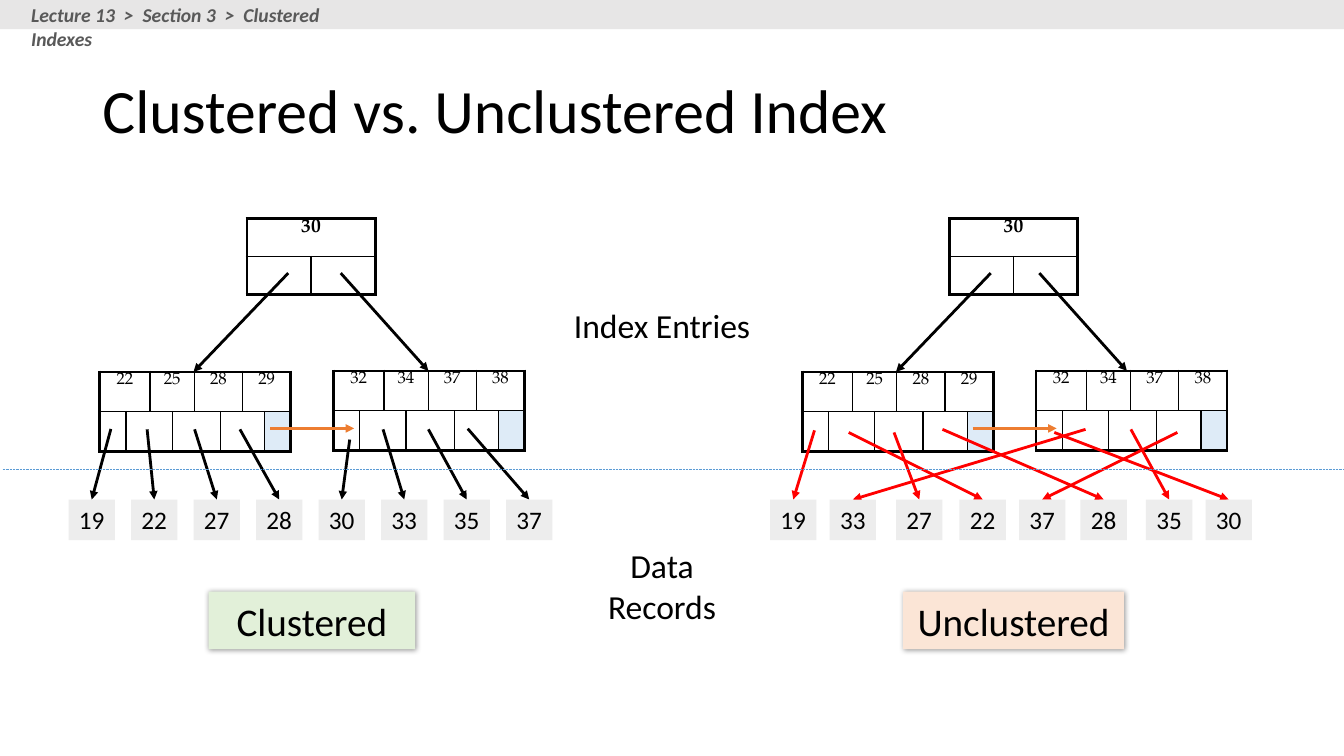
from lxml import etree
from pptx import Presentation
from pptx.dml.color import RGBColor
from pptx.enum.dml import MSO_LINE
from pptx.enum.shapes import MSO_CONNECTOR, MSO_SHAPE
from pptx.enum.text import MSO_ANCHOR, PP_ALIGN
from pptx.oxml.ns import qn
from pptx.util import Pt

RECT, STRAIGHT = MSO_SHAPE.RECTANGLE, MSO_CONNECTOR.STRAIGHT
LEFT, CENTER = PP_ALIGN.LEFT, PP_ALIGN.CENTER
TOP, MIDDLE = MSO_ANCHOR.TOP, MSO_ANCHOR.MIDDLE
DOTTED = MSO_LINE.ROUND_DOT

BLACK = RGBColor(0x00, 0x00, 0x00)
RED = RGBColor(0xFF, 0x00, 0x00)
ORANGE = RGBColor(0xED, 0x7D, 0x31)
BLUE = RGBColor(0x5B, 0x9B, 0xD5)
PALE_BLUE = RGBColor(0xDE, 0xEB, 0xF7)
PALE_GREEN = RGBColor(0xE2, 0xF0, 0xD9)
PALE_ORANGE = RGBColor(0xFB, 0xE5, 0xD6)
RECORD_GREY = RGBColor(0xED, 0xED, 0xED)
BAR_GREY = RGBColor(0xE7, 0xE6, 0xE6)
TEXT_GREY = RGBColor(0x59, 0x59, 0x59)
SANS, SERIF = "Calibri", "TeX Gyre Pagella"


def write(tf, text, size, font=SANS, color=BLACK, bold=False, italic=False,
          align=CENTER, anchor=TOP, wrap=True):
    tf.word_wrap = wrap
    tf.vertical_anchor = anchor
    p = tf.paragraphs[0]
    p.alignment = align
    r = p.add_run()
    r.text = text
    r.font.name, r.font.size = font, Pt(size)
    r.font.bold, r.font.italic = bold, italic
    r.font.color.rgb = color
    return p


def connect(x1, y1, x2, y2, color, width=2, arrow=True):
    c = s.shapes.add_connector(STRAIGHT, Pt(x1), Pt(y1), Pt(x2), Pt(y2))
    c.line.color.rgb, c.line.width = color, Pt(width)
    if arrow:
        etree.SubElement(c.line._get_or_add_ln(), qn("a:tailEnd"), type="triangle")
    etree.SubElement(c._element.spPr, qn("a:effectLst"))
    return c


prs = Presentation()
prs.slide_width, prs.slide_height = Pt(960), Pt(540)
s = prs.slides.add_slide(prs.slide_layouts[5])

# Title
title = s.shapes.title
title.left, title.top, title.width, title.height = Pt(66), Pt(28.8), Pt(828), Pt(104.4)
p = write(title.text_frame, "Clustered vs. Unclustered Index", 44,
          align=LEFT, anchor=MIDDLE)
p.line_spacing = 0.9

# Index nodes: each row lists (text, columns spanned)
TREE_GAP = 501.8
ROOT_COLS = [45.8, 45.8]
LEAF_COLS = [18.7, 15.8, 15.8, 15.8, 18.7, 15.8, 15.8, 18.7]
POINTERS = [("", 1), ("", 2), ("", 2), ("", 2), ("", 1)]
nodes = [
    (176.4, 156.2, ROOT_COLS, 27, 14, [[("30", 2)], [("", 1), ("", 1)]]),
    (71.3, 265.7, LEAF_COLS, 28.3, 12,
     [[(k, 2) for k in ("22", "25", "28", "29")], POINTERS]),
    (238.3, 265, LEAF_COLS, 28.3, 12,
     [[(k, 2) for k in ("32", "34", "37", "38")], POINTERS]),
]
for dx in (0, TREE_GAP):
    for x, y, widths, row_h, size, rows in nodes:
        n = len(widths)
        table = s.shapes.add_table(2, n, Pt(x + dx), Pt(y), Pt(sum(widths)),
                                   Pt(2 * row_h)).table
        table.first_row = table.horz_banding = False
        for col, w in zip(table.columns, widths):
            col.width = Pt(w)
        for i, row in enumerate(rows):
            table.rows[i].height = Pt(row_h)
            start = 0
            for text, span in row:
                end = start + span
                outer = {"L": start == 0, "R": end == n, "T": i == 0, "B": i == 1}
                for j in range(start, end):
                    cell = table.cell(i, j)
                    cell.margin_top = cell.margin_bottom = 0
                    tcPr = cell._tc.get_or_add_tcPr()
                    for side in "LRTB" if j == start else "RTB":
                        ln = etree.SubElement(tcPr, qn("a:ln" + side),
                                              w=str(Pt(2.25 if outer[side] else 1)))
                        fill = etree.SubElement(ln, qn("a:solidFill"))
                        etree.SubElement(fill, qn("a:srgbClr"), val=str(BLACK))
                    if n == 8 and i == 1 and j == n - 1:
                        cell.fill.solid()
                        cell.fill.fore_color.rgb = PALE_BLUE
                    else:
                        cell.fill.background()
                cell = table.cell(i, start)
                if span > 1:
                    cell.merge(table.cell(i, end - 1))
                if text:
                    write(cell.text_frame, text, size, font=SERIF, bold=n == 2)
                start = end

    # Root to leaves, and leaf to leaf
    connect(205.9 + dx, 195.1, 138.2 + dx, 265.7, BLACK)
    right_dx = dx - 2.8 if dx else 0
    connect(243.4 + right_dx, 195.1, 306 + right_dx, 265, BLACK)
    connect(193 + dx, 306, 253 + dx, 306, ORANGE)

# Data records: (key, left, pointer x, pointer y)
RECORD_Y, RECORD_W, RECORD_H = 356.8, 33.1, 29.1
clustered = [
    (key, 49 + 44.64 * i, x, y) for i, (key, x, y) in enumerate([
        ("19", 79.2, 306.4), ("22", 105.1, 306.7), ("27", 139, 306.7),
        ("28", 171.4, 306.7), ("30", 249.8, 314), ("33", 273.6, 306.7),
        ("35", 306, 306.7), ("37", 334.1, 306.2)])
]
unclustered = [
    ("19", 550.1, 581.8, 307.4), ("33", 592.6, 775.4, 306.7),
    ("27", 640.1, 638.6, 308.9), ("22", 685.4, 606.2, 308.9),
    ("37", 727.9, 841, 308.9), ("28", 771.8, 673.2, 306.7),
    ("35", 818.6, 807.8, 306.7), ("30", 861.1, 753.1, 308.9),
]
for records, color in ((clustered, BLACK), (unclustered, RED)):
    for key, left, x, y in records:
        connect(x, y, left + RECORD_W / 2, RECORD_Y, color)
        sp = s.shapes.add_shape(RECT, Pt(left), Pt(RECORD_Y), Pt(RECORD_W), Pt(RECORD_H))
        sp.shadow.inherit = False
        sp.fill.solid()
        sp.fill.fore_color.rgb = RECORD_GREY
        sp.line.fill.background()
        write(sp.text_frame, key, 18, anchor=MIDDLE, wrap=False)

# Captions with a soft shadow
for text, left, width, color in (("Clustered", 149, 147.6, PALE_GREEN),
                                 ("Unclustered", 645.1, 157.7, PALE_ORANGE)):
    sp = s.shapes.add_shape(RECT, Pt(left), Pt(422.6), Pt(width), Pt(41.2))
    sp.fill.solid()
    sp.fill.fore_color.rgb = color
    sp.line.fill.background()
    sp.shadow.inherit = False
    effects = sp._element.spPr.find(qn("a:effectLst"))
    shadow = etree.SubElement(effects, qn("a:outerShdw"), blurRad=str(Pt(4)),
                              dist=str(Pt(1)), dir="2700000", rotWithShape="0")
    tint = etree.SubElement(shadow, qn("a:srgbClr"), val=str(BLACK))
    etree.SubElement(tint, qn("a:alpha"), val="40000")
    write(sp.text_frame, text, 28, anchor=MIDDLE)

# Divider between index entries and data records
divider = connect(2, 335.5, 960, 335.5, BLUE, width=0.5, arrow=False)
divider.line.dash_style = DOTTED
for text, top in (("Index Entries", 214.6), ("Data Records", 385.9)):
    tb = s.shapes.add_textbox(Pt(402), Pt(top), Pt(141.8), Pt(36))
    write(tb.text_frame, text, 24)

# Breadcrumb bar
bar = s.shapes.add_shape(RECT, 0, 0, prs.slide_width, Pt(20.9))
bar.shadow.inherit = False
bar.fill.solid()
bar.fill.fore_color.rgb = BAR_GREY
bar.line.fill.background()
tb = s.shapes.add_textbox(Pt(15.1), Pt(-1.4), Pt(262.8), Pt(24.5))
write(tb.text_frame, "Lecture 13  >  Section 3  >  Clustered Indexes", 14,
      color=TEXT_GREY, bold=True, italic=True, align=LEFT)

prs.save("out.pptx")
